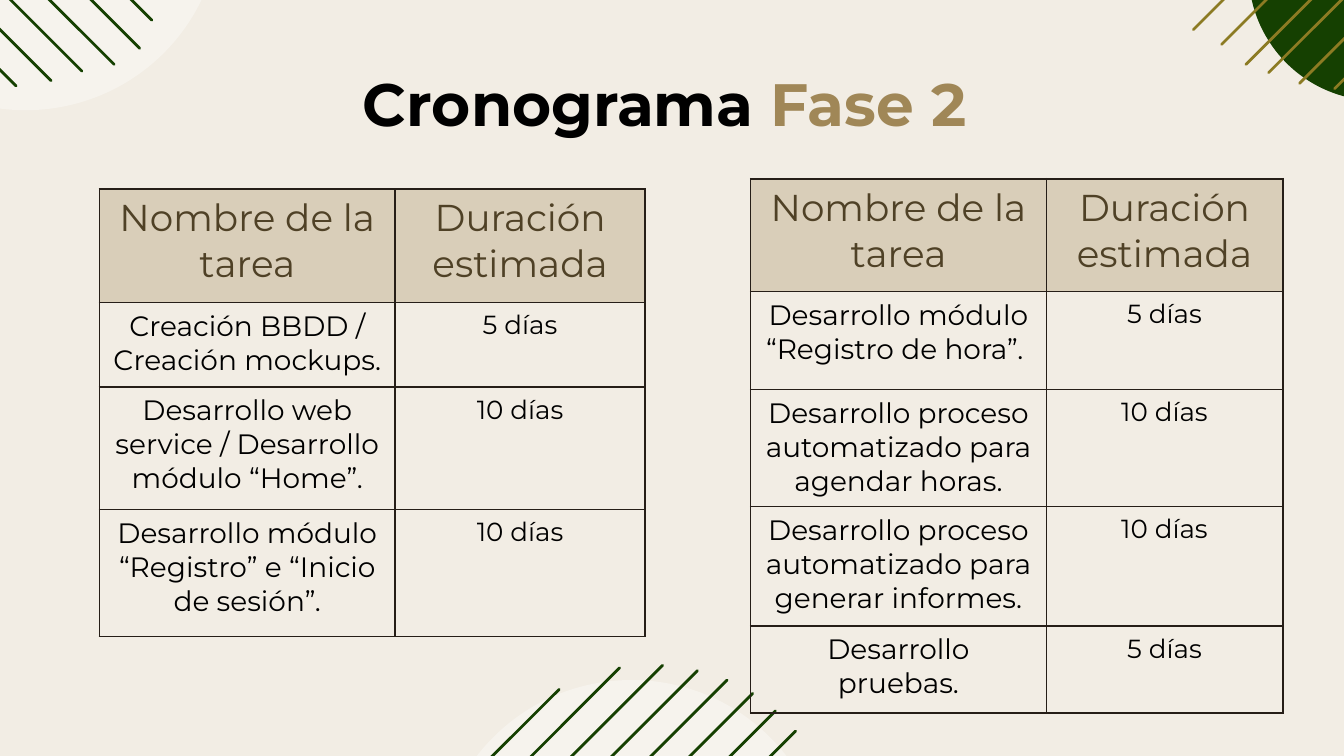
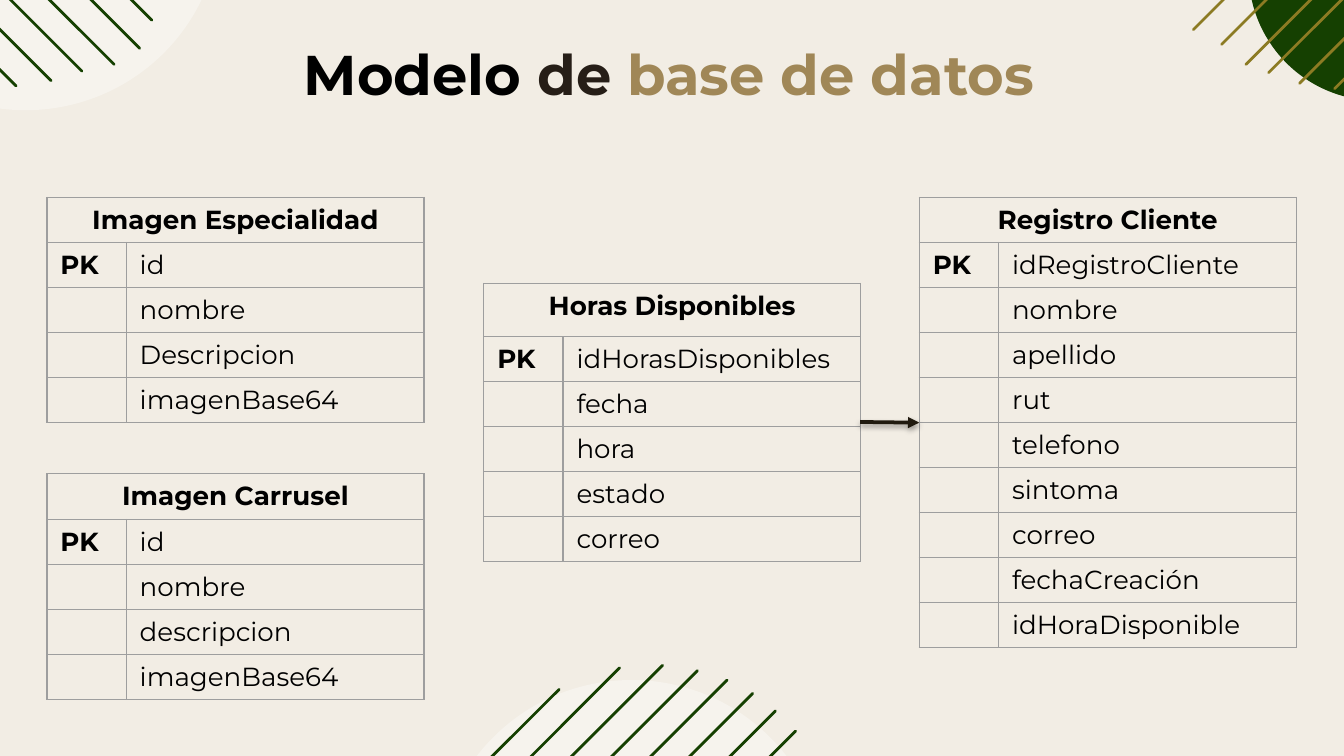
"""Build the phase 2 schedule and the database model slides."""
from lxml.etree import SubElement as Sub
from pptx import Presentation
from pptx.dml.color import RGBColor as RGB
from pptx.enum.shapes import MSO_CONNECTOR as LINK, MSO_SHAPE as FORM
from pptx.enum.text import MSO_ANCHOR as ANCHOR, MSO_AUTO_SIZE as FIT, PP_ALIGN as ALIGN
from pptx.oxml.ns import qn
from pptx.util import Inches, Pt


class Theme:
    font = "Montserrat"
    cream, white, black = "F2EDE4", "FFFFFF", "000000"
    green, olive, gold = "154001", "8C7B23", "A08757"
    sand, brown, dark = "D9CEB9", "4F4126", "261E17"
    grey, ink = "9E9E9E", "201A0F"
    title, sub, head, body, small = 32, 30, 20, 15, 14
    stroke = 1.5


deck = Presentation()
deck.slide_width = Inches(10)
deck.slide_height = deck.slide_width * 9 // 16
unit = deck.slide_width // 100


def grid(*cells):
    """Turn columns or rows of the 100-column grid into lengths."""
    return [round(cell * unit) for cell in cells]


def write(par, text, size, color, bold=False):
    """Add one run to a paragraph."""
    run = par.add_run()
    run.text = text
    run.font.name, run.font.size, run.font.bold = Theme.font, Pt(size), bold
    run.font.color.rgb = RGB.from_string(color)


layout = deck.slide_layouts[5]
layout.background.fill.solid()
layout.background.fill.fore_color.rgb = RGB.from_string(Theme.cream)
plan, model = [deck.slides.add_slide(layout) for _ in range(2)]

corners = [
    ((92.9, -11.7, 19.2, 19.2), Theme.green, 100, Theme.olive, (1, -1),
     [(88.8, 2.2, 20.4), (90.9, 3.3, 19.9), (92.7, 4.8, 19.5),
      (94.4, 5.4, 18.6), (96.7, 6.2, 17.1), (99.3, 6.6, 14.9)]),
    ((-12.6, -20.6, 29, 28.8), Theme.white, 36, Theme.green, (-1, -1),
     [(11.3, 1.5, 20), (10.4, 3.6, 20.6), (8.5, 4.8, 20),
      (6.1, 5.3, 18.6), (3.8, 6, 17.1), (1.2, 6.4, 14.9)]),
    ((32.5, 50.6, 29, 28.8), Theme.white, 36, Theme.green, (-1, 1),
     [(59.2, 54.4, 20), (57.7, 52.9, 20.6), (56, 51.6, 20), (54.1, 50.6, 18.6),
      (51.9, 49.9, 17.1), (49.3, 49.5, 14.9), (46.1, 49.7, 11.6), (41.6, 51.3, 5.4)]),
]
decor = []
for place, fill, alpha, tint, (right, down), lines in corners:
    disc = plan.shapes.add_shape(FORM.OVAL, *grid(*place))
    disc.shadow.inherit = False
    disc.line.fill.background()
    disc.fill.solid()
    disc.fill.fore_color.rgb = RGB.from_string(fill)
    if alpha < 100:
        color = disc.element.spPr.find(f"{qn('a:solidFill')}/{qn('a:srgbClr')}")
        Sub(color, qn("a:alpha"), val=str(alpha * 1000))
    decor.append(disc)
    for x, y, span in lines:
        ray = plan.shapes.add_connector(
            LINK.STRAIGHT, *grid(x, y, x + right * span, y + down * span))
        ray.line.color.rgb = RGB.from_string(tint)
        ray.line.width = Pt(Theme.stroke)
        ray.line._get_or_add_ln().set("cap", "rnd")
        Sub(ray.element.spPr, qn("a:effectLst"))
        decor.append(ray)
for step, shape in enumerate(decor):
    shape.element.find(".//" + qn("p:cNvPr")).set("id", str(50 + step))
    layout.shapes.element.insert(2 + step, shape.element)

titles = [
    (plan, (26, 4.5, 48.1, 6.4), Theme.title,
     [("Cronograma ", Theme.black), ("Fase 2", Theme.gold)]),
    (model, (21.6, 2.45, 56.7, 6.1), Theme.sub,
     [("Modelo ", Theme.black), ("de", Theme.dark), (" base de datos", Theme.gold)]),
]
for slide, place, size, parts in titles:
    title = slide.shapes.title
    title.left, title.top, title.width, title.height = grid(*place)
    frame = title.text_frame
    frame.word_wrap, frame.auto_size = True, FIT.SHAPE_TO_FIT_TEXT
    frame.vertical_anchor = ANCHOR.TOP
    frame.paragraphs[0].alignment = ALIGN.LEFT
    for text, color in parts:
        write(frame.paragraphs[0], text, size, color, True)

header = ("Nombre de la tarea", "Duración estimada")
tables = [
    (plan, 7.4, 14.05, (22, 18.6), (8.45, 6.3, 9.1, 9.45), [
        header,
        ("Creación BBDD / Creación mockups.", "5 días"),
        ("Desarrollo web service / Desarrollo módulo “Home”.", "10 días"),
        ("Desarrollo módulo “Registro” e “Inicio de sesión”.", "10 días")]),
    (plan, 55.85, 13.3, (22, 17.6), (8.4, 7.3, 8.7, 8.9, 6.45), [
        header,
        ("Desarrollo módulo “Registro de hora”. ", "5 días"),
        ("Desarrollo proceso automatizado para agendar horas.", "10 días"),
        ("Desarrollo proceso automatizado para generar informes.", "10 días"),
        ("Desarrollo pruebas.", "5 días")]),
]
models = [
    ("Imagen Carrusel", 3.5, 35.25, 3.4, "id nombre descripcion imagenBase64"),
    ("Imagen Especialidad", 3.5, 14.7, 3.35, "id nombre Descripcion imagenBase64"),
    ("Horas Disponibles", 36, 21.1, 3.95, "idHorasDisponibles fecha hora estado correo"),
    ("Registro Cliente", 68.4, 14.7, 3.35,
     "idRegistroCliente nombre apellido rut telefono sintoma correo"
     " fechaCreación idHoraDisponible"),
]
for name, x, y, top, fields in models:
    key, *rest = fields.split()
    rows = [(name, ""), ("PK", key)] + [("", field) for field in rest]
    tables.append((model, x, y, (5.9, 22.15), [top] + [3.35] * (len(rows) - 1), rows))

for slide, x, y, cols, highs, rows in tables:
    task = slide is plan
    edge, width = (Theme.dark, 1) if task else (Theme.grey, 0.75)
    table = slide.shapes.add_table(
        len(rows), len(cols), *grid(x, y, sum(cols), sum(highs))).table
    table.first_row = table.horz_banding = False
    for col, wide in zip(table.columns, grid(*cols)):
        col.width = wide
    for row, high in zip(table.rows, grid(*highs)):
        row.height = high
    if not task:
        table.cell(0, 0).merge(table.cell(0, 1))
    for r, texts in enumerate(rows):
        for c, text in enumerate(texts):
            cell = table.cell(r, c)
            props = cell._tc.get_or_add_tcPr()
            for side in "LRTB":
                line = Sub(props, qn("a:ln" + side), w=str(Pt(width)))
                Sub(Sub(line, qn("a:solidFill")), qn("a:srgbClr"), val=edge)
            cell.fill.background()
            size, color = Theme.small, Theme.black
            if task and r == 0:
                cell.fill.solid()
                cell.fill.fore_color.rgb = RGB.from_string(Theme.sand)
                size, color = Theme.head, Theme.brown
            elif task and c == 0:
                size = Theme.body
            par = cell.text_frame.paragraphs[0]
            par.alignment = ALIGN.CENTER if task or r == 0 else ALIGN.LEFT
            if text:
                write(par, text, size, color, not task and c == 0)
            else:
                end = Sub(par._p, qn("a:endParaRPr"), sz=str(size * 100))
                Sub(end, qn("a:latin"), typeface=Theme.font)

arrow = model.shapes.add_connector(LINK.STRAIGHT, *grid(64, 31.4, 68.4, 31.45))
arrow.line.color.rgb = RGB.from_string(Theme.ink)
arrow.line.width = Pt(2)
Sub(arrow.line._get_or_add_ln(), qn("a:tailEnd"), type="triangle")
glow = Sub(Sub(arrow.element.spPr, qn("a:effectLst")), qn("a:outerShdw"),
           blurRad=str(Pt(3.1)), dist=str(Pt(1.6)), dir="5400000", rotWithShape="0")
Sub(Sub(glow, qn("a:srgbClr"), val=Theme.black), qn("a:alpha"), val="38000")

deck.save("out.pptx")
